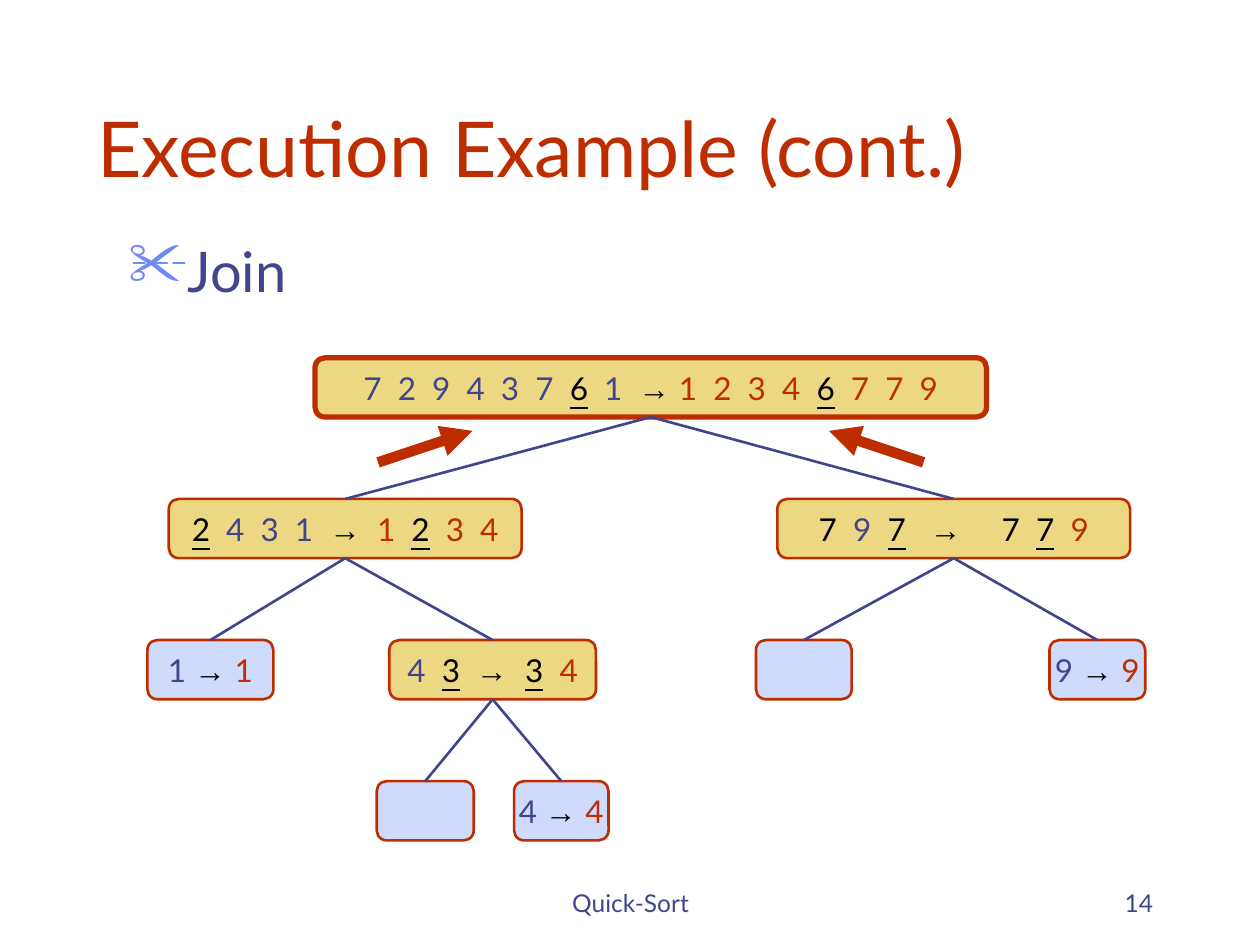
from lxml import etree
from pptx import Presentation
from pptx.dml.color import RGBColor
from pptx.enum.shapes import MSO_CONNECTOR, MSO_SHAPE
from pptx.enum.text import MSO_ANCHOR, PP_ALIGN
from pptx.oxml.ns import qn
from pptx.util import Inches, Pt

LINE = MSO_CONNECTOR.STRAIGHT
ROUND = MSO_SHAPE.ROUNDED_RECTANGLE
TOP, MIDDLE, BOTTOM = MSO_ANCHOR.TOP, MSO_ANCHOR.MIDDLE, MSO_ANCHOR.BOTTOM
LEFT, CENTER, RIGHT = PP_ALIGN.LEFT, PP_ALIGN.CENTER, PP_ALIGN.RIGHT

COLORS = {"blue": "40458C", "red": "BE2D00", "black": "000000",
          "gold": "ECD882", "pale": "CFDBFD", "mark": "6F89F7"}
ROW, STEP, HIGH = 2.84, 1.12, 0.47

LEAF4 = (4.08, 0.75, "pale", [("4 ", "blue"), ("→ ", "arrow"), ("4", "red")], [])
LEAF9 = (8.33, 0.76, "pale", [("9 ", "blue"), ("→ ", "arrow"), ("9", "red")], [])
LEAF1 = (1.17, 1, "pale", [("1 ", "blue"), ("→ ", "arrow"), ("1", "red")], [])
PAIR = (3.09, 1.64, "gold",
        [("4  ", "blue"), ("3", "pivot"), ("  ", "blue"), ("→  ", "arrow"),
         ("3", "pivot"), ("  ", "black"), ("4", "red")],
        [(2.99, 0.77, "pale", [], []), LEAF4])
LOW = (1.34, 2.8, "gold",
       [("2", "pivot"), ("  4  3  1  ", "blue"), ("→", "arrow"), ("  1  ", "red"),
        ("2", "pivot"), (" ", "black"), (" 3  4", "red")],
       [LEAF1, PAIR])
HIGHER = (6.17, 2.8, "gold",
          [("7", "black"), ("  9  ", "blue"), ("7", "pivot"), ("   ", "black"),
           ("→", "arrow"), ("     7  ", "black"), ("7", "pivot"),
           ("  ", "blue"), ("9", "red")],
          [(6, 0.76, "pale", [], []), LEAF9])
ROOT = (2.5, 5.33, "gold",
        [("7  2  9  4  3  7  ", "blue"), ("6", "pivot"), ("  1  ", "blue"),
         ("→ ", "arrow"), ("1  2  3  4  ", "red"), ("6", "pivot"),
         ("  ", "black"), ("7  7  9", "red")],
        [LOW, HIGHER])


def color(name):
    """Return the named colour."""
    return RGBColor.from_string(COLORS[name])


def write(frame, runs, size, align, anchor, wrap=True):
    """Fill a text frame with one paragraph of styled runs."""
    frame.word_wrap = wrap
    frame.vertical_anchor = anchor
    para = frame.paragraphs[0]
    para.alignment = align
    for text, style in runs:
        run = para.add_run()
        run.text = text
        font = run.font
        font.size = Pt(size)
        font.name = "Arial" if style == "arrow" else "Lato"
        font.bold = style == "arrow"
        font.underline = style == "pivot"
        font.color.rgb = color(style if style in COLORS else "black")
    return para


def label(slide, box, text, size, align, anchor):
    """Place a blue text box and return its paragraph."""
    frame = slide.shapes.add_textbox(*map(Inches, box)).text_frame
    return write(frame, [(text, "blue")], size, align, anchor)


def heading(slide, box, text):
    """Move and format the title."""
    title = slide.shapes.title
    title.left, title.top, title.width, title.height = map(Inches, box)
    write(title.text_frame, [(text, "red")], 44, LEFT, BOTTOM)


def bullet(slide, box, text):
    """Place a line with a scissors bullet."""
    para = label(slide, box, text, 32, LEFT, TOP)
    para.space_before = Pt(8)
    props = para._p.get_or_add_pPr()
    props.set("marL", str(Inches(0.38)))
    props.set("indent", str(Inches(-0.38)))
    tint = etree.SubElement(props, qn("a:buClr"))
    etree.SubElement(tint, qn("a:srgbClr"), val=COLORS["mark"])
    etree.SubElement(props, qn("a:buSzPct"), val="110000")
    etree.SubElement(props, qn("a:buChar"), char="✂")


def link(slide, start, end, name, width):
    """Draw a straight line between two points."""
    line = slide.shapes.add_connector(LINE, *map(Inches, start + end))
    line.line.color.rgb = color(name)
    line.line.width = Pt(width)
    etree.SubElement(line._element.spPr, qn("a:effectLst"))
    return line


def arrow(slide, tip, tail):
    """Draw a thick arrow that points at its tip."""
    line = link(slide, tip, tail, "red", 6)
    etree.SubElement(line.line._get_or_add_ln(), qn("a:headEnd"), type="triangle")


def node(slide, box, fill, runs, width):
    """Draw one rounded tree node."""
    shape = slide.shapes.add_shape(ROUND, *map(Inches, box))
    shape.shadow.inherit = False
    shape.fill.solid()
    shape.fill.fore_color.rgb = color(fill)
    shape.line.color.rgb = color("red")
    shape.line.width = Pt(width)
    if runs:
        write(shape.text_frame, runs, 18, CENTER, MIDDLE, False)
    return shape


def tree(slide, data, depth=0):
    """Draw a node, its subtrees and the joins between them."""
    left, wide, fill, runs, kids = data
    top = ROW + depth * STEP
    shape = node(slide, (left, top, wide, HIGH), fill, runs, 1.5 if depth else 3)
    for kid in kids:
        child = tree(slide, kid, depth + 1)
        start = (left + wide / 2, top + HIGH)
        end = (kid[0] + kid[1] / 2, top + STEP)
        line = link(slide, start, end, "blue", 1.5)
        line.begin_connect(shape, 2)
        line.end_connect(child, 0)
    return shape


def main():
    """Build and save the slide."""
    deck = Presentation()
    deck.slide_width, deck.slide_height = Inches(10), Inches(7.5)
    slide = deck.slides.add_slide(deck.slide_layouts[5])
    heading(slide, (0.67, 0.33, 8.5, 1.25), "Execution Example (cont.)")
    bullet(slide, (0.92, 1.83, 8.5, 0.75), "Join")
    tree(slide, ROOT)
    arrow(slide, (3.75, 3.42), (3, 3.67))
    arrow(slide, (6.58, 3.42), (7.33, 3.67))
    label(slide, (3.42, 6.83, 3.17, 0.5), "Quick-Sort", 14, CENTER, BOTTOM)
    label(slide, (7.17, 6.83, 2.08, 0.5), "14", 14, RIGHT, BOTTOM)
    deck.save("out.pptx")


if __name__ == "__main__":
    main()
